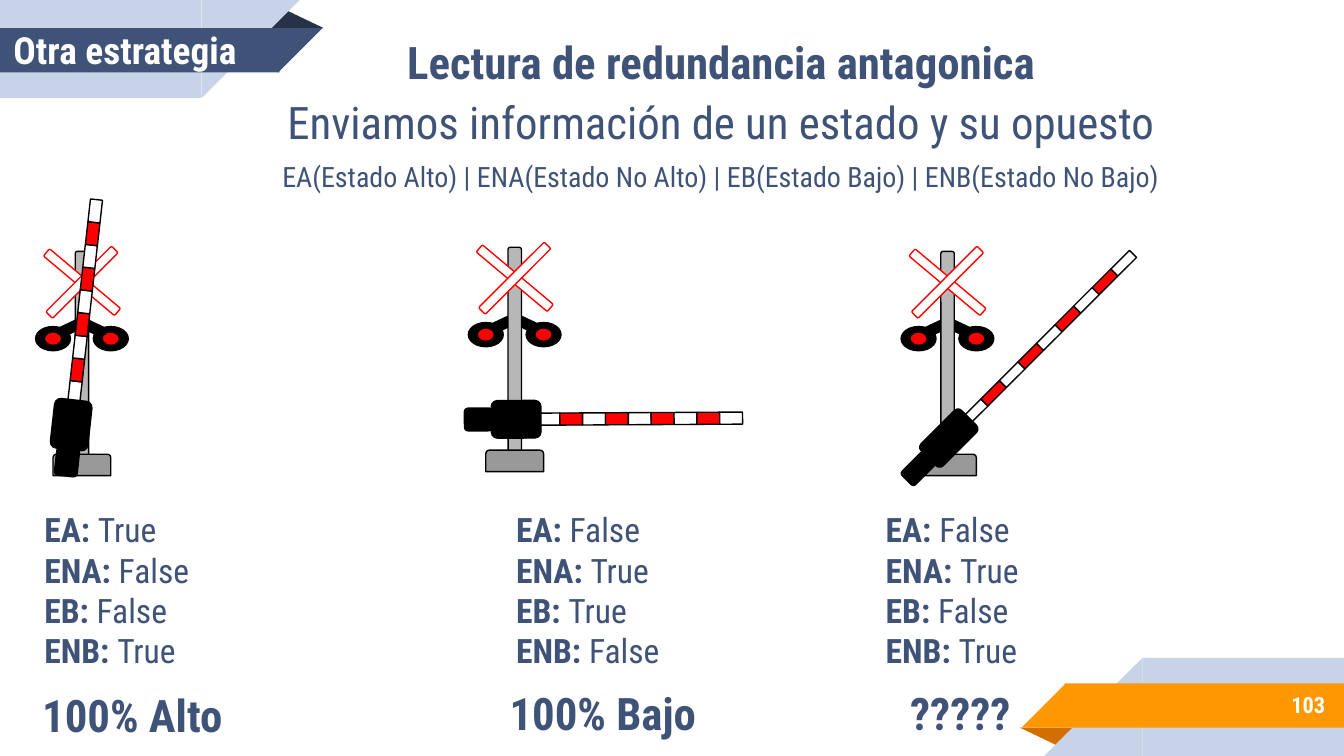
from dataclasses import dataclass
from math import cos, radians, sin

from lxml.etree import SubElement
from pptx import Presentation
from pptx.dml.color import RGBColor
from pptx.enum.shapes import MSO_CONNECTOR, MSO_SHAPE
from pptx.enum.text import MSO_ANCHOR, MSO_AUTO_SIZE, PP_ALIGN
from pptx.oxml.ns import qn
from pptx.util import Inches, Pt

W = 10
H = W * 9 / 16


@dataclass(frozen=True)
class Theme:
    font: str = "Roboto Condensed"
    ink: str = "3F5378"
    pale: str = "C7D3E6"
    navy_fold: str = "263248"
    orange: str = "FF9800"
    orange_fold: str = "D26F00"
    white: str = "FFFFFF"
    black: str = "000000"
    red: str = "FF0000"
    post: str = "B7B7B7"
    base: str = "999999"
    big: int = 24
    title: int = 20
    state: int = 18
    legend: int = 15
    number: int = 12
    line: float = 0.75
    brace: float = 6


T = Theme()

TITLE = "Otra estrategia"
NUMBER = "103"
HEADING = "Lectura de redundancia antagonica"
SUBHEADINGS = [
    ("Enviamos información de un estado y su opuesto", T.big, 0.59),
    ("EA(Estado Alto) | ENA(Estado No Alto) | EB(Estado Bajo) | ENB(Estado No Bajo)",
     T.legend, 1),
]
STATES = [["EA", "ENA", "EB"], ["ENB"]]
SIGNALS = [
    {"post": (0.61, 0), "motor": (0.53, 3.16), "angle": 6.4, "long": 1, "wide": 1,
     "values": ["True", "False", "False", "True"], "list_x": 0.23,
     "verdict": "100% Alto", "verdict_at": (0.13, 5.14)},
    {"post": (3.83, -0.03), "motor": (3.84, 3.12), "angle": 89.7, "long": 1, "wide": 1,
     "values": ["False", "True", "True", "False"], "list_x": 3.74,
     "verdict": "100% Bajo", "verdict_at": (3.63, 5.13)},
    {"post": (7.05, 0), "motor": (7.06, 3.26), "angle": 45, "long": 1.15, "wide": 0.83,
     "values": ["False", "True", "False", "True"], "list_x": 6.49,
     "verdict": "?????", "verdict_at": (6.29, 5.13)},
]
RIBBON = [
    (MSO_SHAPE.ISOSCELES_TRIANGLE, 1.98, 0.07, 0.43, 0.14, 0, "fold"),
    (MSO_SHAPE.RECTANGLE, 0, 0, 1.5, 0.73, 0, "pale"),
    (MSO_SHAPE.RIGHT_TRIANGLE, 1.5, 0, 0.73, 0.73, 90, "pale"),
    (MSO_SHAPE.RECTANGLE, 0, 0.21, 2.08, 0.33, 0, "band"),
    (MSO_SHAPE.RIGHT_TRIANGLE, 2.07, 0.21, 0.33, 0.33, 90, "band"),
]
STRIPES, STRIPE_STEP, FIRST_STRIPE, WEIGHT = 9, 0.17, 0.24, -0.28


def rgb(color):
    return RGBColor.from_string(color)


def add_piece(shapes, kind, cx, cy, w, h, fill, line=None, rot=0, adj=()):
    sp = shapes.add_shape(kind, Inches(cx - w / 2), Inches(cy - h / 2), Inches(w), Inches(h))
    sp.shadow.inherit = False
    sp.rotation = rot
    for i, value in enumerate(adj):
        sp.adjustments[i] = value
    sp.fill.solid()
    sp.fill.fore_color.rgb = rgb(fill)
    if line:
        sp.line.color.rgb = rgb(line)
        sp.line.width = Pt(T.line)
    else:
        sp.line.fill.background()


def add_brace(shapes, x1, y1, x2, y2):
    c = shapes.add_connector(MSO_CONNECTOR.STRAIGHT, *map(Inches, (x1, y1, x2, y2)))
    c.line.color.rgb = rgb(T.black)
    c.line.width = Pt(T.brace)
    SubElement(c.element.spPr, qn("a:effectLst"))


def write(sp, box, paragraphs, size, color=T.ink, align=PP_ALIGN.LEFT):
    sp.left, sp.top, sp.width, sp.height = map(Inches, box)
    tf = sp.text_frame
    tf.word_wrap = True
    tf.auto_size = MSO_AUTO_SIZE.NONE
    tf.vertical_anchor = MSO_ANCHOR.MIDDLE
    tf.margin_left = tf.margin_right = tf.margin_top = tf.margin_bottom = Inches(0.1)
    for i, lines in enumerate(paragraphs):
        p = tf.add_paragraph() if i else tf.paragraphs[0]
        pPr = p._p.get_or_add_pPr()
        pPr.set("marL", "0")
        pPr.set("indent", "0")
        SubElement(pPr, qn("a:buNone"))
        p.alignment = align
        p.space_before = Pt(0)
        for j, runs in enumerate(lines):
            if j:
                p.add_line_break()
            for text, bold in runs:
                r = p.add_run()
                r.text = text
                r.font.name = T.font
                r.font.size = Pt(size)
                r.font.bold = bold
                r.font.color.rgb = rgb(color)


def add_text(shapes, box, text, size, bold=True, color=T.ink, align=PP_ALIGN.CENTER):
    sp = shapes.add_textbox(*map(Inches, box))
    write(sp, box, [[[(text, bold)]]], size, color, align)


def add_ribbon(shapes, colors, turned):
    for kind, x, y, w, h, rot, role in RIBBON:
        cx, cy = x + w / 2, y + h / 2
        if turned:
            cx, cy, rot = W - cx, H - cy, rot + 180
        adj = (0.32,) if role == "fold" else ()
        add_piece(shapes, kind, cx, cy, w, h, colors[role], rot=rot, adj=adj)


def add_post(shapes, cx, dy):
    for side in (-1, 1):
        add_brace(shapes, cx + side * 0.17, 2.48 + dy, cx, 2.4 + dy)
    add_piece(shapes, MSO_SHAPE.ROUNDED_RECTANGLE, cx, 2.66 + dy, 1.58, 0.1,
              T.post, T.black, 90)
    add_piece(shapes, MSO_SHAPE.ROUND_2_SAME_RECTANGLE, cx, 3.46 + dy, 0.43, 0.16,
              T.base, T.black)
    for rot in (130, 45):
        add_piece(shapes, MSO_SHAPE.ROUNDED_RECTANGLE, cx, 2.1 + dy, 0.07, 0.69,
                  T.white, T.red, rot)
    for side in (-1, 1):
        for w, h, fill in ((0.26, 0.18, T.black), (0.13, 0.1, T.red)):
            add_piece(shapes, MSO_SHAPE.OVAL, cx + side * 0.43 / 2, 2.52 + dy, w, h,
                      fill, T.black)


def add_arm(shapes, motor, angle, long, wide):
    def place(kind, distance, w, h, fill):
        cx = motor[0] + sin(radians(angle)) * distance * long
        cy = motor[1] - cos(radians(angle)) * distance * long
        add_piece(shapes, kind, cx, cy, w * wide, h * long, fill, T.black, angle)

    for i in range(STRIPES):
        place(MSO_SHAPE.RECTANGLE, FIRST_STRIPE + i * STRIPE_STEP, 0.09, 0.17,
              T.red if i % 2 else T.white)
    place(MSO_SHAPE.ROUNDED_RECTANGLE, 0, 0.28, 0.37, T.black)
    place(MSO_SHAPE.ROUNDED_RECTANGLE, WEIGHT, 0.17, 0.21, T.black)


def main():
    prs = Presentation()
    prs.slide_width, prs.slide_height = Inches(W), Inches(H)
    s = prs.slides.add_slide(prs.slide_layouts.get_by_name("Comparison"))
    shapes = s.shapes
    title, heading, *lists = s.placeholders

    add_ribbon(shapes, {"fold": T.orange_fold, "pale": T.pale, "band": T.orange}, True)
    add_ribbon(shapes, {"fold": T.navy_fold, "pale": T.pale, "band": T.ink}, False)
    write(title, (0, 0.19, 2.06, 0.35), [[[(TITLE, True)]]], T.title, T.white)
    title.element.getparent().append(title.element)
    add_text(shapes, (8.33, 5.07, 1.63, 0.35), NUMBER, T.number,
             color=T.white, align=PP_ALIGN.RIGHT)

    write(heading, (2.64, 0.14, 5.45, 0.63), [[[(HEADING, True)]]], T.big,
          align=PP_ALIGN.CENTER)
    for text, size, y in SUBHEADINGS:
        add_text(shapes, (1.9, y, 6.93, 0.63), text, size, bold=False)

    for signal, body in zip(SIGNALS, lists):
        add_post(shapes, *signal["post"])
        add_arm(shapes, signal["motor"], signal["angle"], signal["long"], signal["wide"])
        values = iter(signal["values"])
        paragraphs = [[[(f"{name}: ", True), (next(values), False)] for name in names]
                      for names in STATES]
        write(body, (signal["list_x"], 3.6, 1.52, 1.58), paragraphs, T.state)
        add_text(shapes, (*signal["verdict_at"], 1.71, 0.35), signal["verdict"], T.big)

    prs.save("out.pptx")


if __name__ == "__main__":
    main()
